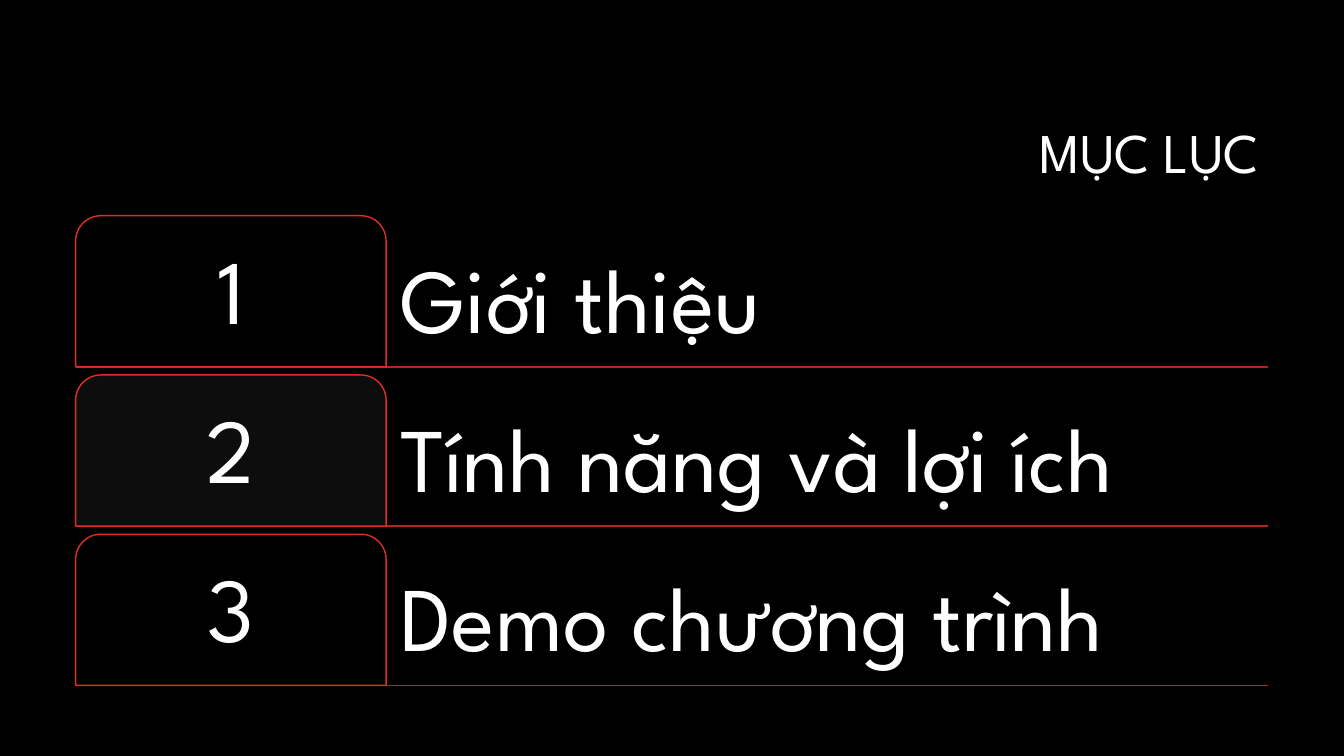
from pptx import Presentation
from pptx.dml.color import RGBColor
from pptx.enum.shapes import MSO_CONNECTOR, MSO_SHAPE
from pptx.enum.text import MSO_ANCHOR, MSO_AUTO_SIZE, PP_ALIGN
from pptx.oxml.ns import qn
from pptx.util import Pt
from lxml import etree

PX = 9144  # 100 px to the inch
FONT = "League Spartan"
COLORS = {
    "background": "000000",
    "panel": "0D0D0D",
    "text": "FFFFFF",
    "border": "DF2E28",
    "rule": "B32520",
}


def color(name):
    return RGBColor.from_string(COLORS[name])


def write(shape, text, size, align, anchor, inset):
    frame = shape.text_frame
    frame.word_wrap = True
    frame.auto_size = MSO_AUTO_SIZE.NONE
    frame.vertical_anchor = anchor
    frame.margin_left = frame.margin_right = inset[0] * PX
    frame.margin_top = frame.margin_bottom = inset[1] * PX
    paragraph = frame.paragraphs[0]
    paragraph.alignment = align
    paragraph.line_spacing = 0.9
    run = paragraph.add_run()
    run.text = text
    run.font.name = FONT
    run.font.size = Pt(size)
    run.font.color.rgb = color("text")


# Slide
presentation = Presentation()
presentation.slide_width = 1333 * PX
presentation.slide_height = 750 * PX
slide = presentation.slides.add_slide(presentation.slide_layouts[5])
slide.background.fill.solid()
slide.background.fill.fore_color.rgb = color("background")

# Title
title = slide.shapes.title
title.left, title.top, title.width, title.height = 317 * PX, 84 * PX, 942 * PX, 141 * PX
write(title, "MỤC LỤC", 40, PP_ALIGN.RIGHT, MSO_ANCHOR.MIDDLE, (10, 5))

# Contents rows
LEFT, TOP, RIGHT = 75, 214, 1258
TAB_WIDTH, ROW_HEIGHT, ROW_PITCH = 308, 150, 158
chapters = [
    ("Giới thiệu", "background"),
    ("Tính năng và lợi ích", "panel"),
    ("Demo chương trình", "background"),
]
for index, (chapter, fill) in enumerate(chapters):
    top = TOP + index * ROW_PITCH
    bottom = top + ROW_HEIGHT

    # Rule under the row
    rule = slide.shapes.add_connector(
        MSO_CONNECTOR.STRAIGHT, LEFT * PX, bottom * PX, RIGHT * PX, bottom * PX)
    rule.line.color.rgb = color("rule")
    rule.line.width = Pt(1)
    etree.SubElement(rule._element.spPr, qn("a:effectLst"))

    # Numbered tab
    tab = slide.shapes.add_shape(
        MSO_SHAPE.ROUND_2_SAME_RECTANGLE,
        LEFT * PX, top * PX, TAB_WIDTH * PX, ROW_HEIGHT * PX)
    tab.shadow.inherit = False
    tab.fill.solid()
    tab.fill.fore_color.rgb = color(fill)
    tab.line.color.rgb = color("border")
    tab.line.width = Pt(1)
    write(tab, str(index + 1), 65, PP_ALIGN.CENTER, MSO_ANCHOR.MIDDLE, (14, 14))

    # Chapter name
    label_left = LEFT + TAB_WIDTH
    label = slide.shapes.add_textbox(
        label_left * PX, top * PX, (RIGHT - label_left) * PX, ROW_HEIGHT * PX)
    write(label, chapter, 65, PP_ALIGN.LEFT, MSO_ANCHOR.BOTTOM, (14, 14))

presentation.save("out.pptx")
